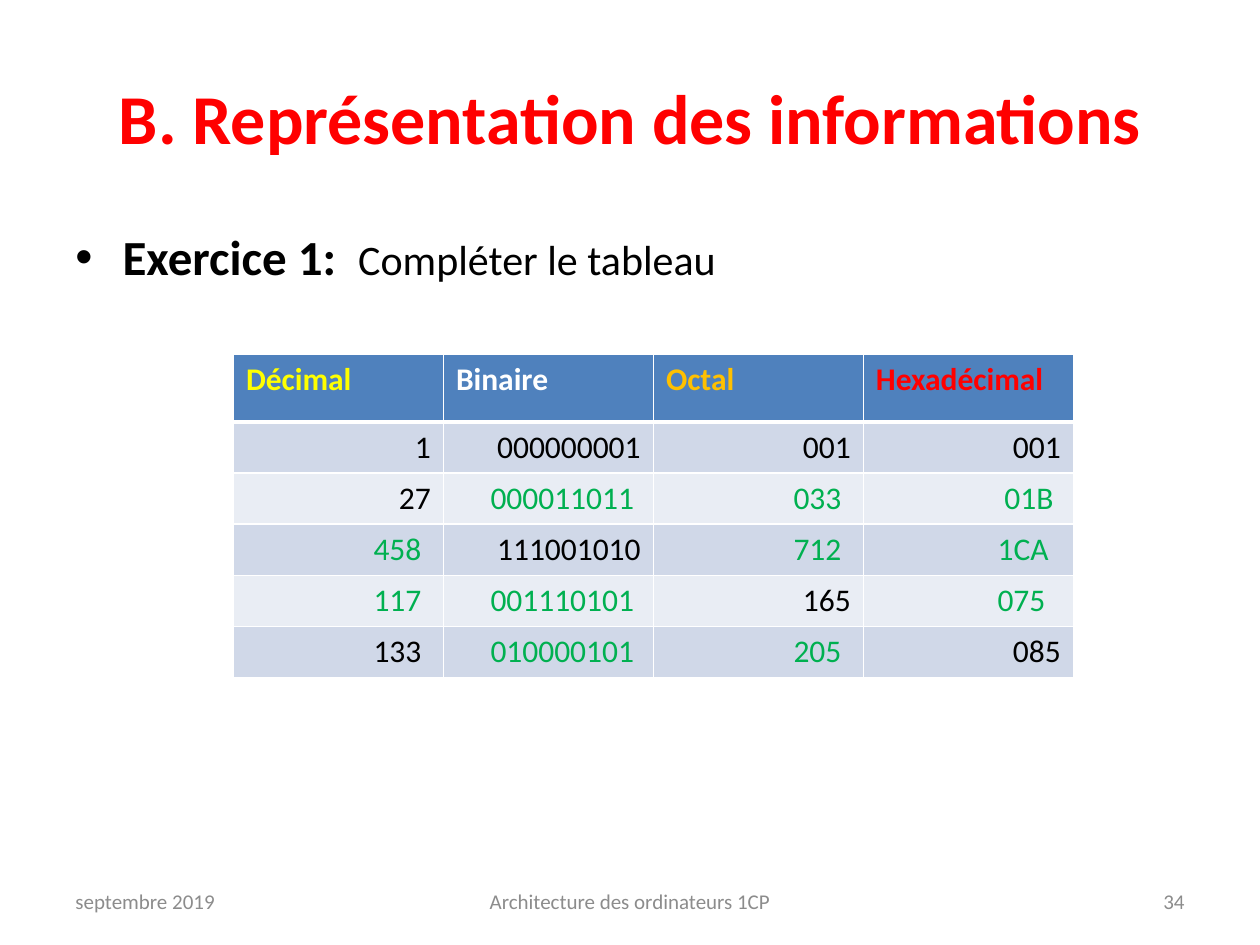
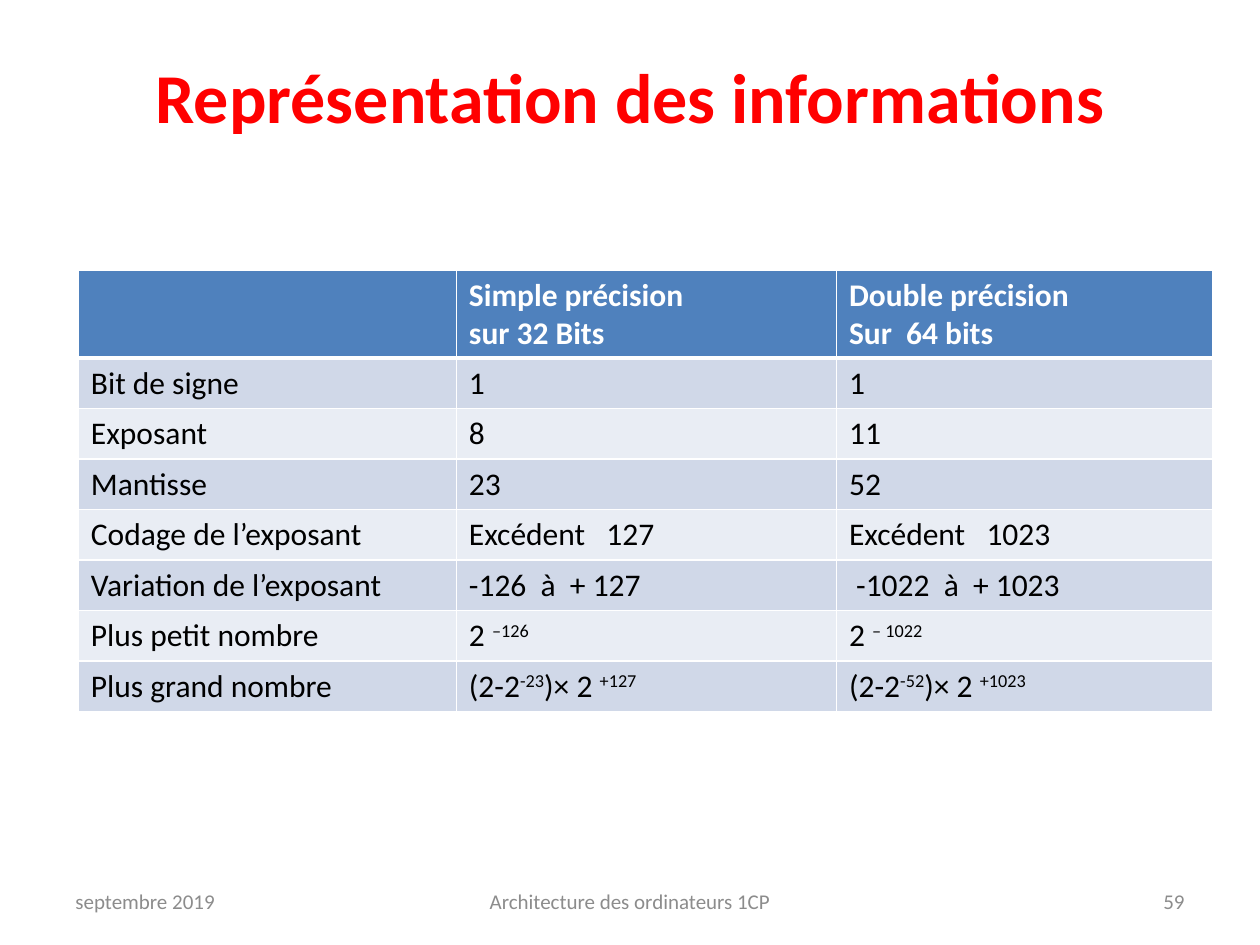
from lxml import etree
from pptx import Presentation
from pptx.dml.color import RGBColor
from pptx.enum import text
from pptx.oxml import ns
from pptx.util import Pt

FONT = "Calibri"
COLORS = {
    "title": "FF0000", "footer": "8C8C8C", "ink": "000000", "answer": "00B050",
    "white": "FFFFFF", "yellow": "FFFF00", "orange": "FFC000", "red": "FF0000",
    "header": "4F81BD", "odd": "D0D8E8", "even": "E9EDF4",
}
LEFT, CENTER, RIGHT = text.PP_ALIGN.LEFT, text.PP_ALIGN.CENTER, text.PP_ALIGN.RIGHT
MIDDLE, TOP = text.MSO_ANCHOR.MIDDLE, text.MSO_ANCHOR.TOP
FOOTER_TOP, FOOTER_HEIGHT = 500.5, 28.75

# Header names with their colours
BASES = [("Décimal", "yellow"), ("Binaire", "white"),
         ("Octal", "orange"), ("Hexadécimal", "red")]
# Each number: text, colour, right inset
GIVEN, DECIMAL, BINARY, OCTAL = 7.2, 12.6, 11, 12.6
CONVERSIONS = [
    [("1", "ink", GIVEN), ("000000001", "ink", GIVEN),
     ("001", "ink", GIVEN), ("001", "ink", GIVEN)],
    [("27", "ink", GIVEN), ("000011011", "answer", BINARY),
     ("033", "answer", OCTAL), ("01B", "answer", 11.4)],
    [("458", "answer", DECIMAL), ("111001010", "ink", GIVEN),
     ("712", "answer", OCTAL), ("1CA", "answer", 14.2)],
    [("117", "answer", DECIMAL), ("001110101", "answer", BINARY),
     ("165", "ink", GIVEN), ("075", "answer", 16)],
    [("133", "ink", DECIMAL), ("010000101", "answer", BINARY),
     ("205", "answer", OCTAL), ("085", "ink", GIVEN)],
]

# Header lines, then cells whose pieces alternate between normal and superscript
PRECISIONS = [[], ["Simple précision", "sur 32 Bits"],
              ["Double précision", "Sur  64 bits"]]
FORMATS = [
    [["Bit de signe"], ["1"], ["1"]],
    [["Exposant"], ["8"], ["11"]],
    [["Mantisse"], ["23"], ["52"]],
    [["Codage de l’exposant"], ["Excédent   127"], ["Excédent   1023"]],
    [["Variation de l’exposant"], ["-126  à  + 127"], [" -1022  à  + 1023"]],
    [["Plus petit nombre"], ["2 ", "–126"], ["2 ", "– 1022"]],
    [["Plus grand nombre"], ["(2-2", "-23", ")× 2 ", "+127"],
     ["(2-2", "-52", ")× 2 ", "+1023"]],
]


def color(name):
    return RGBColor.from_string(COLORS[name])


def add_span(para, words, size, ink, bold=False, raised=False):
    span = para.add_run()
    span.text = words
    span.font.name = FONT
    span.font.size = Pt(size)
    span.font.bold = bold
    span.font.color.rgb = color(ink)
    if raised:
        span._r.get_or_add_rPr().set("baseline", "30000")


def add_box(page, box, align=LEFT, anchor=MIDDLE):
    """Add an empty text box and return its first paragraph."""
    frame = page.shapes.add_textbox(*map(Pt, box)).text_frame
    frame.word_wrap = True
    frame.vertical_anchor = anchor
    para = frame.paragraphs[0]
    para.alignment = align
    return para


# Parts shared by the slides
def add_title(page, box, words):
    add_span(add_box(page, box, CENTER), words, 40, "title", bold=True)


def add_footer(page, number):
    parts = [(36, 168, "septembre 2019", LEFT),
             (246, 228, "Architecture des ordinateurs 1CP", CENTER),
             (516, 168, number, RIGHT)]
    for left, width, words, align in parts:
        box = (left, FOOTER_TOP, width, FOOTER_HEIGHT)
        add_span(add_box(page, box, align), words, 12, "footer")


def set_borders(cell, top, bottom):
    """Draw white lines around a cell; they come before the fill."""
    properties = cell._tc.get_or_add_tcPr()
    widths = {"lnL": 1, "lnR": 1, "lnT": top, "lnB": bottom}
    for index, (side, width) in enumerate(widths.items()):
        line = etree.Element(ns.qn(f"a:{side}"), w=str(Pt(width)))
        fill = etree.SubElement(line, ns.qn("a:solidFill"))
        etree.SubElement(fill, ns.qn("a:srgbClr"), val=COLORS["white"])
        properties.insert(index, line)


def add_banded_table(page, left, top, columns, rows):
    """Add an empty table with a header row and banded rows."""
    frame = page.shapes.add_table(len(rows), len(columns), Pt(left), Pt(top),
                                  Pt(sum(columns)), Pt(sum(rows)))
    table = frame.table
    for column, width in zip(table.columns, columns):
        column.width = Pt(width)
    for index, (row, height) in enumerate(zip(table.rows, rows)):
        row.height = Pt(height)
        band = "header" if index == 0 else "odd" if index % 2 else "even"
        for cell in row.cells:
            cell.fill.solid()
            cell.fill.fore_color.rgb = color(band)
            set_borders(cell, 3 if index == 1 else 1, 3 if index == 0 else 1)
    return table


# Exercise slide
def add_exercise_line(page, box):
    para = add_box(page, box, anchor=TOP)
    properties = para._p.get_or_add_pPr()
    properties.set("marL", str(Pt(27)))
    properties.set("indent", str(Pt(-27)))
    etree.SubElement(properties, ns.qn("a:buFont"), typeface="Arial")
    etree.SubElement(properties, ns.qn("a:buChar"), char="•")
    para.space_before = Pt(5.6)
    add_span(para, "Exercice 1:  ", 28, "ink", bold=True)
    add_span(para, "Compléter le tableau", 24, "ink")


def add_conversion_table(page, left, top):
    rows = [39] + [29.2] * len(CONVERSIONS)
    table = add_banded_table(page, left, top, [120] * len(BASES), rows)
    for column, (name, ink) in enumerate(BASES):
        para = table.cell(0, column).text_frame.paragraphs[0]
        add_span(para, name, 18, ink, bold=True)
    for row, numbers in enumerate(CONVERSIONS, 1):
        for column, (number, ink, inset) in enumerate(numbers):
            cell = table.cell(row, column)
            cell.margin_right = Pt(inset)
            para = cell.text_frame.paragraphs[0]
            para.alignment = RIGHT
            add_span(para, number, 18, ink)


def build_exercise(page):
    add_title(page, (36, 21.6, 648, 90), "B. Représentation des informations")
    add_exercise_line(page, (36, 126, 648, 356.4))
    add_footer(page, "34")
    add_conversion_table(page, 133.4, 202.2)


# Floating-point slide
def add_precision_table(page, left, top):
    rows = [46] + [26.6] * len(FORMATS)
    table = add_banded_table(page, left, top, [216, 217.2, 214.8], rows)
    for column, lines in enumerate(PRECISIONS):
        frame = table.cell(0, column).text_frame
        for index, words in enumerate(lines):
            para = frame.add_paragraph() if index else frame.paragraphs[0]
            add_span(para, words, 18, "white", bold=True)
    for row, cells in enumerate(FORMATS, 1):
        for column, pieces in enumerate(cells):
            para = table.cell(row, column).text_frame.paragraphs[0]
            for index, words in enumerate(pieces):
                add_span(para, words, 18, "ink", raised=index % 2 == 1)


def build_precision(page):
    add_title(page, (36, 9.4, 648, 90), "Représentation des informations")
    add_precision_table(page, 44.8, 154.2)
    add_footer(page, "59")


def main():
    deck = Presentation()
    deck.slide_width, deck.slide_height = Pt(720), Pt(540)
    for build in (build_exercise, build_precision):
        build(deck.slides.add_slide(deck.slide_layouts[6]))
    deck.save("out.pptx")


if __name__ == "__main__":
    main()
